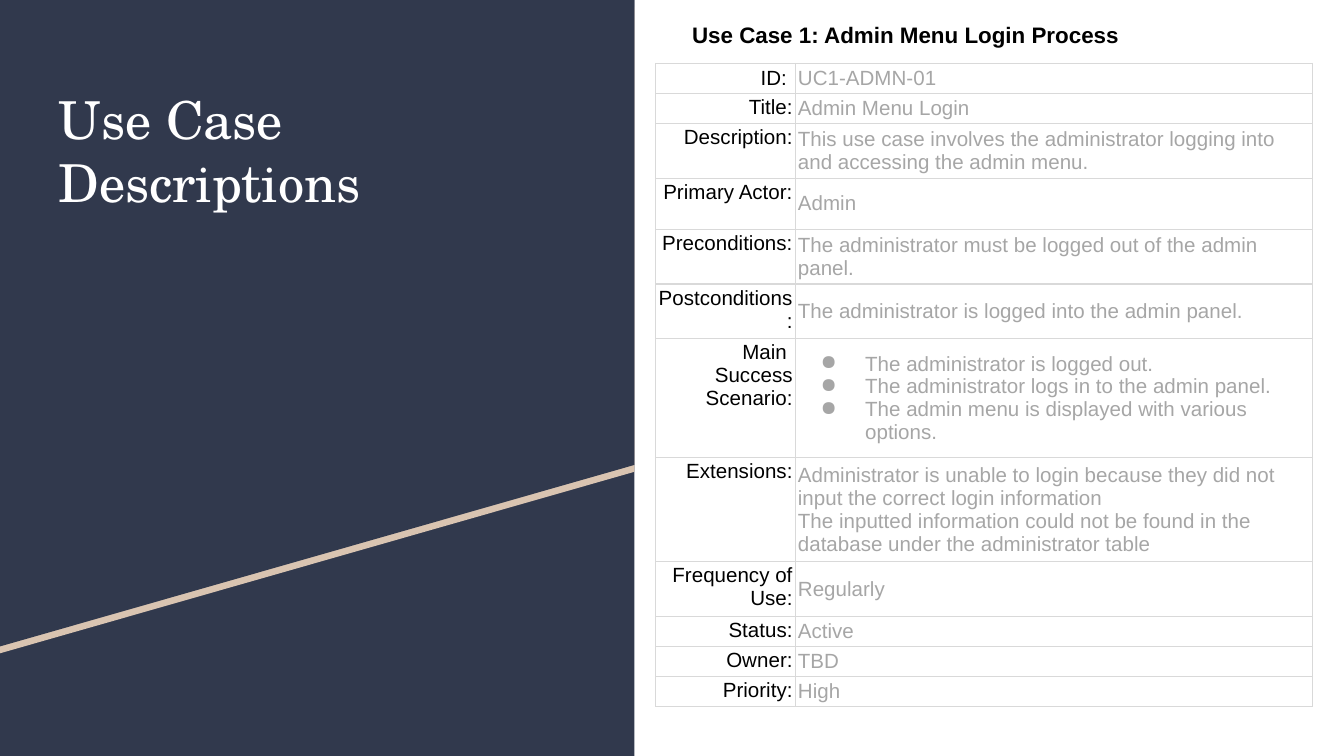
from dataclasses import dataclass

from lxml.etree import SubElement
from pptx import Presentation
from pptx.dml.color import RGBColor
from pptx.enum.shapes import MSO_SHAPE
from pptx.enum.text import MSO_ANCHOR, PP_ALIGN
from pptx.oxml.ns import qn
from pptx.util import Cm, Pt


@dataclass(frozen=True)
class Theme:
    navy: str = "31394D"
    sand: str = "D9C4B1"
    white: str = "FFFFFF"
    black: str = "000000"
    gray: str = "A6A6A6"
    rule: str = "D9D9D9"
    title_font: str = "TeX Gyre Schola"
    body_font: str = "Arial"
    title_size: int = 28
    heading_size: int = 12
    table_size: int = 11


theme = Theme()


def write_text(para, text, *, size, color, font=theme.body_font, bold=False,
               align=PP_ALIGN.LEFT, bullet=None):
    para.text = text
    para.alignment = align
    for span in para.runs:
        span.font.size = Pt(size)
        span.font.name = font
        span.font.bold = bold
        span.font.color.rgb = RGBColor.from_string(color)
    for line_break in para._p.findall(qn("a:br")):
        SubElement(line_break, qn("a:rPr"), sz=str(size * 100))
    if bullet:
        properties = para._p.get_or_add_pPr()
        properties.set("marL", str(Cm(1.27)))
        properties.set("indent", str(Cm(-0.84)))
        bullet_color = SubElement(properties, qn("a:buClr"))
        SubElement(bullet_color, qn("a:srgbClr"), val=color)
        SubElement(properties, qn("a:buChar"), char=bullet)


def paint(shape, color):
    shape.shadow.inherit = False
    shape.fill.solid()
    shape.fill.fore_color.rgb = RGBColor.from_string(color)
    shape.line.fill.background()


deck = Presentation()
deck.slide_width = Cm(25.4)
deck.slide_height = Cm(14.29)
page = deck.slides.add_slide(deck.slide_layouts[5])
page.background.fill.solid()
page.background.fill.fore_color.rgb = RGBColor.from_string(theme.white)

panel_width = Cm(11.99)
panel = page.shapes.add_shape(MSO_SHAPE.RECTANGLE, 0, 0, panel_width, deck.slide_height)
paint(panel, theme.navy)

for top, color in ((Cm(0.13), theme.sand), (0, theme.navy)):
    builder = page.shapes.build_freeform(0, top)
    builder.add_line_segments([
        (panel_width, top),
        (panel_width, top + Cm(8.79)),
        (0, top + Cm(12.22)),
    ])
    paint(builder.convert_to_shape(), color)

title = page.shapes.title
title.left, title.top, title.width, title.height = Cm(0.86), Cm(1.4), Cm(10.29), Cm(6.96)
page.shapes._spTree.append(title._element)
heading = page.shapes.add_textbox(Cm(12.83), Cm(0.15), Cm(11.58), Cm(1))
for box in (title, heading):
    frame = box.text_frame
    frame.word_wrap = True
    frame.vertical_anchor = MSO_ANCHOR.TOP
    frame.margin_left = frame.margin_right = Cm(0.25)
    frame.margin_top = frame.margin_bottom = Cm(0.25)
write_text(title.text_frame.paragraphs[0], "Use Case Descriptions",
           size=theme.title_size, color=theme.white, font=theme.title_font)
write_text(heading.text_frame.paragraphs[0], "Use Case 1: Admin Menu Login Process",
           size=theme.heading_size, color=theme.black, bold=True)

single, double = 0.54, 0.97
use_case = [
    (single, "ID: ", ["UC1-ADMN-01"]),
    (single, "Title:", ["Admin Menu Login"]),
    (double, "Description:", ["This use case involves the administrator logging into and accessing the admin menu."]),
    (double, "Primary Actor:", ["Admin"]),
    (double, "Preconditions:", ["The administrator must be logged out of the admin panel."]),
    (double, "Postconditions:", ["The administrator is logged into the admin panel."]),
    (2.25, "Main \vSuccess Scenario:", [
        "The administrator is logged out.",
        "The administrator logs in to the admin panel.",
        "The admin menu is displayed with various options.",
    ]),
    (1.83, "Extensions:", [
        "Administrator is unable to login because they did not input the correct login information",
        "The inputted information could not be found in the database under the administrator table",
    ]),
    (double, "Frequency of Use:", ["Regularly"]),
    (single, "Status:", ["Active"]),
    (single, "Owner:", ["TBD"]),
    (single, "Priority:", ["High"]),
]

column_widths = (2.64, 9.78)
table_height = sum(height for height, label, lines in use_case)
table = page.shapes.add_table(len(use_case), 2, Cm(12.39), Cm(1.2),
                              Cm(sum(column_widths)), Cm(table_height)).table
table.first_row = False
table.horz_banding = False
for column, width in zip(table.columns, column_widths):
    column.width = Cm(width)

for index, (height, label, lines) in enumerate(use_case):
    table.rows[index].height = Cm(height)
    label_cell, value_cell = table.rows[index].cells
    for cell in (label_cell, value_cell):
        cell.margin_left = cell.margin_right = Cm(0.05)
        cell.margin_top = cell.margin_bottom = Cm(0.05)
        cell_properties = cell._tc.get_or_add_tcPr()
        for side in ("a:lnL", "a:lnR", "a:lnT", "a:lnB"):
            border = SubElement(cell_properties, qn(side), w=str(Pt(0.75)))
            border_fill = SubElement(border, qn("a:solidFill"))
            SubElement(border_fill, qn("a:srgbClr"), val=theme.rule)
        cell.fill.solid()
        cell.fill.fore_color.rgb = RGBColor.from_string(theme.white)
    label_cell.vertical_anchor = MSO_ANCHOR.MIDDLE if index == 0 else MSO_ANCHOR.TOP
    value_cell.vertical_anchor = MSO_ANCHOR.MIDDLE
    write_text(label_cell.text_frame.paragraphs[0], label,
               size=theme.table_size, color=theme.black, align=PP_ALIGN.RIGHT)
    bullet = "●" if label.startswith("Main") else None
    for position, line in enumerate(lines):
        frame = value_cell.text_frame
        para = frame.add_paragraph() if position else frame.paragraphs[0]
        write_text(para, line, size=theme.table_size, color=theme.gray, bullet=bullet)

deck.save("out.pptx")
